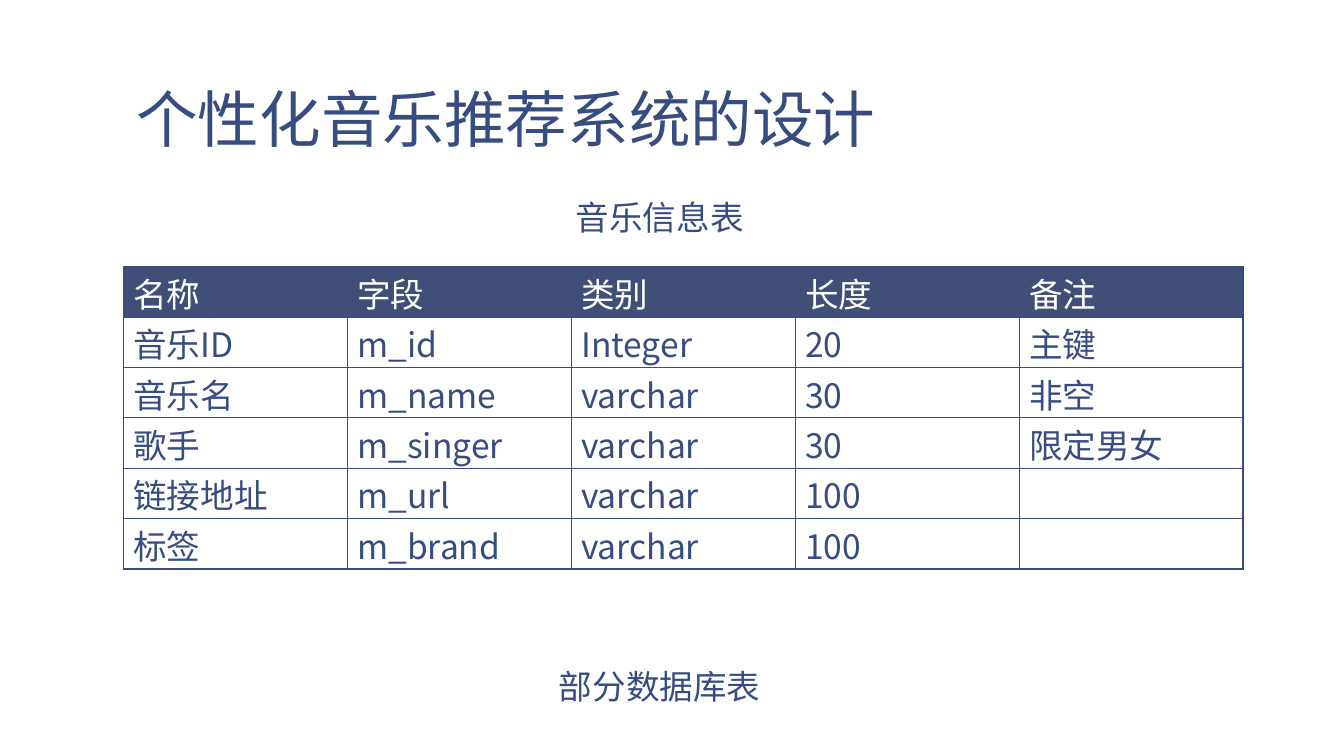
from lxml import etree
from pptx import Presentation
from pptx.dml.color import RGBColor
from pptx.enum.text import MSO_ANCHOR, MSO_AUTO_SIZE, PP_ALIGN
from pptx.oxml.ns import qn
from pptx.util import Pt

LEFT, CENTER = PP_ALIGN.LEFT, PP_ALIGN.CENTER
BOTTOM, NO_FIT = MSO_ANCHOR.BOTTOM, MSO_AUTO_SIZE.NONE
FONT = "Noto Sans CJK SC"
BLUE, HEAD, WHITE = "374C81", "414E77", "FFFFFF"


def color(code):
    return RGBColor.from_string(code)


def write(frame, text, size, tint, align=LEFT, space=1.0):
    para = frame.paragraphs[0]
    para.alignment, para.line_spacing = align, space
    run = para.add_run()
    run.text = text
    style = {"name": FONT, "size": Pt(size), "bold": False}
    for key, value in style.items():
        setattr(run.font, key, value)
    run.font.color.rgb = color(tint)
    # East Asian text needs its own typeface entry
    etree.SubElement(run.font._element, qn("a:ea"), typeface=FONT)


deck = Presentation()
deck.slide_width, deck.slide_height = Pt(960), Pt(540)
slide = deck.slides.add_slide(deck.slide_layouts[5])

# Title
title = slide.shapes.title
place = {"left": 88, "top": 6, "width": 800, "height": 110}
for key, value in place.items():
    setattr(title, key, Pt(value))
frame = title.text_frame
form = {"auto_size": NO_FIT, "word_wrap": True, "vertical_anchor": BOTTOM,
        "margin_left": Pt(9.4), "margin_right": Pt(9.4),
        "margin_top": Pt(5), "margin_bottom": Pt(5)}
for key, value in form.items():
    setattr(frame, key, value)
write(frame, "个性化音乐推荐系统的设计", 44, BLUE, space=0.85)

# Captions above and below the table
for text, top in (("音乐信息表", 139), ("部分数据库表", 474)):
    box = slide.shapes.add_textbox(Pt(366.5), Pt(top), Pt(209.5), Pt(34.5))
    box.text_frame.word_wrap = True
    write(box.text_frame, text, 24, BLUE, CENTER, 0.95)

# Table of music fields
rows = [
    ("名称", "字段", "类别", "长度", "备注"),
    ("音乐ID", "m_id", "Integer", "20", "主键"),
    ("音乐名", "m_name", "varchar", "30", "非空"),
    ("歌手", "m_singer", "varchar", "30", "限定男女"),
    ("链接地址", "m_url", "varchar", "100", ""),
    ("标签", "m_brand", "varchar", "100", ""),
]
table = slide.shapes.add_table(len(rows), 5, Pt(88), Pt(190.5),
                               Pt(800), Pt(216)).table
table.horz_banding = False
for row, texts in enumerate(rows):
    table.rows[row].height = Pt(36)
    for col, text in enumerate(texts):
        cell = table.cell(row, col)
        cell.margin_top = cell.margin_bottom = 0
        cell.vertical_anchor = BOTTOM
        write(cell.text_frame, text, 24, BLUE if row else WHITE)
        # Borders come before the fill in the cell properties
        props = cell._tc.get_or_add_tcPr()
        for side in ("a:lnL", "a:lnR", "a:lnT", "a:lnB"):
            line = etree.SubElement(props, qn(side), w=str(Pt(1)))
            fill = etree.SubElement(line, qn("a:solidFill"))
            etree.SubElement(fill, qn("a:srgbClr"), val=BLUE)
        cell.fill.solid()
        cell.fill.fore_color.rgb = color(WHITE if row else HEAD)

deck.save("out.pptx")
